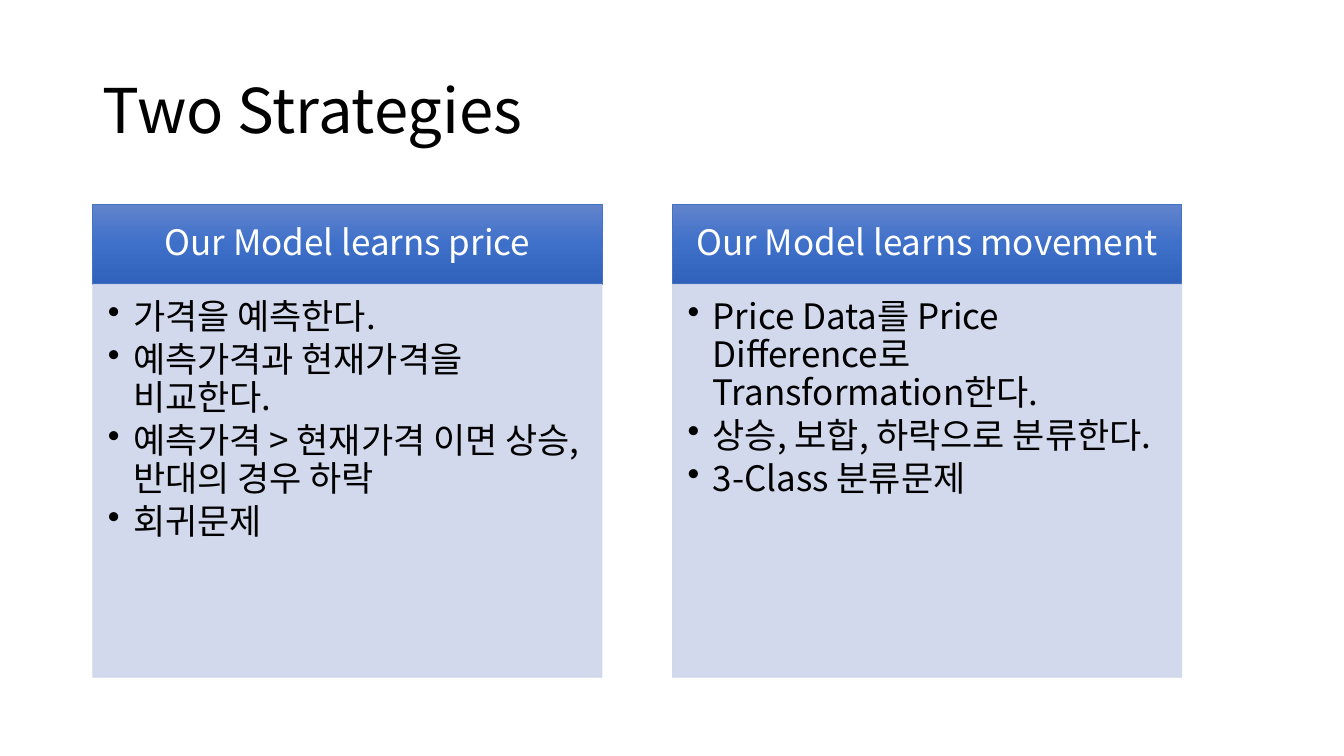
from lxml.etree import SubElement
from copy import deepcopy
from pptx import Presentation
from pptx.dml.color import RGBColor
from pptx.enum.shapes import MSO_SHAPE
from pptx.enum.text import MSO_ANCHOR, PP_ALIGN
from pptx.oxml.ns import qn
from pptx.util import Inches, Pt

FONT = "Noto Sans CJK KR"
COLUMN_WIDTH = 5.05
LEFT = 0.92
COLUMN_STEP = 5.75
HEADER_TOP, HEADER_HEIGHT = 2.03, 0.79
BODY_HEIGHT = 3.9
HEADER_COLORS = ["6183CB", "3E70CA", "3062BB"]
STRATEGIES = [
    ("Our Model learns price", [
        "가격을 예측한다.",
        "예측가격과 현재가격을 비교한다.",
        "예측가격 > 현재가격 이면 상승, 반대의 경우 하락",
        "회귀문제",
    ]),
    ("Our Model learns movement", [
        "Price Data를 Price Difference로 Transformation한다.",
        "상승, 보합, 하락으로 분류한다.",
        "3-Class 분류문제",
    ]),
]


def color(value):
    return RGBColor.from_string(value)


def set_frame(frame, anchor, insets):
    frame.word_wrap = True
    frame.vertical_anchor = anchor
    frame.margin_left, frame.margin_top, frame.margin_right, frame.margin_bottom = map(Inches, insets)


def write(para, text, size, text_color, align=PP_ALIGN.LEFT):
    para.text = text
    para.alignment = align
    para.line_spacing = 0.9
    font = para.font
    font.size = Pt(size)
    font.name = FONT
    font.color.rgb = color(text_color)
    defaults = para._p.pPr.find(qn("a:defRPr"))
    SubElement(defaults, qn("a:ea")).set("typeface", FONT)


def add_bullet(para):
    para.space_after = Pt(3.75)
    properties = para._p.pPr
    properties.set("marL", str(Inches(0.25)))
    properties.set("indent", str(Inches(-0.25)))
    bullet = SubElement(properties, qn("a:buChar"))
    bullet.set("char", "•")
    properties.find(qn("a:defRPr")).addprevious(bullet)


def add_panel(page, left, top, height, line_color):
    panel = page.shapes.add_shape(
        MSO_SHAPE.RECTANGLE, Inches(left), Inches(top), Inches(COLUMN_WIDTH), Inches(height))
    panel.shadow.inherit = False
    panel.line.color.rgb = color(line_color)
    panel.line.width = Pt(0.5)
    return panel


def fill_header(panel):
    panel.fill.gradient()
    panel.fill.gradient_angle = 270
    stops = panel._element.spPr.find(qn("a:gradFill")).find(qn("a:gsLst"))
    stops.insert(1, deepcopy(stops[0]))
    for index, (stop, value) in enumerate(zip(panel.fill.gradient_stops, HEADER_COLORS)):
        stop.position = index / 2
        stop.color.rgb = color(value)


def add_header(page, left, text):
    header = add_panel(page, left, HEADER_TOP, HEADER_HEIGHT, "4472C4")
    fill_header(header)
    set_frame(header.text_frame, MSO_ANCHOR.MIDDLE, (0.19, 0.11, 0.19, 0.11))
    write(header.text_frame.paragraphs[0], text, 25, "FFFFFF", PP_ALIGN.CENTER)


def add_body(page, left, points):
    body = add_panel(page, left, HEADER_TOP + HEADER_HEIGHT, BODY_HEIGHT, "CFD5EA")
    body.fill.solid()
    body.fill.fore_color.rgb = color("CFD5EA")
    for tint in body._element.spPr.iter(qn("a:srgbClr")):
        SubElement(tint, qn("a:alpha")).set("val", "90000")
    frame = body.text_frame
    set_frame(frame, MSO_ANCHOR.TOP, (0.15, 0.15, 0.19, 0.22))
    for index, point in enumerate(points):
        para = frame.add_paragraph() if index else frame.paragraphs[0]
        write(para, point, 25, "000000")
        add_bullet(para)


def add_title(page, text):
    box = page.shapes.add_textbox(Inches(LEFT), Inches(0.4), Inches(11.5), Inches(1.45))
    set_frame(box.text_frame, MSO_ANCHOR.MIDDLE, (0.1, 0.05, 0.1, 0.05))
    write(box.text_frame.paragraphs[0], text, 44, "000000")


def main():
    deck = Presentation()
    deck.slide_width, deck.slide_height = Inches(13.33), Inches(7.5)
    page = deck.slides.add_slide(deck.slide_layouts[6])
    add_title(page, "Two Strategies")
    for index, (heading, points) in enumerate(STRATEGIES):
        left = LEFT + index * COLUMN_STEP
        add_header(page, left, heading)
        add_body(page, left, points)
    deck.save("out.pptx")


if __name__ == "__main__":
    main()
